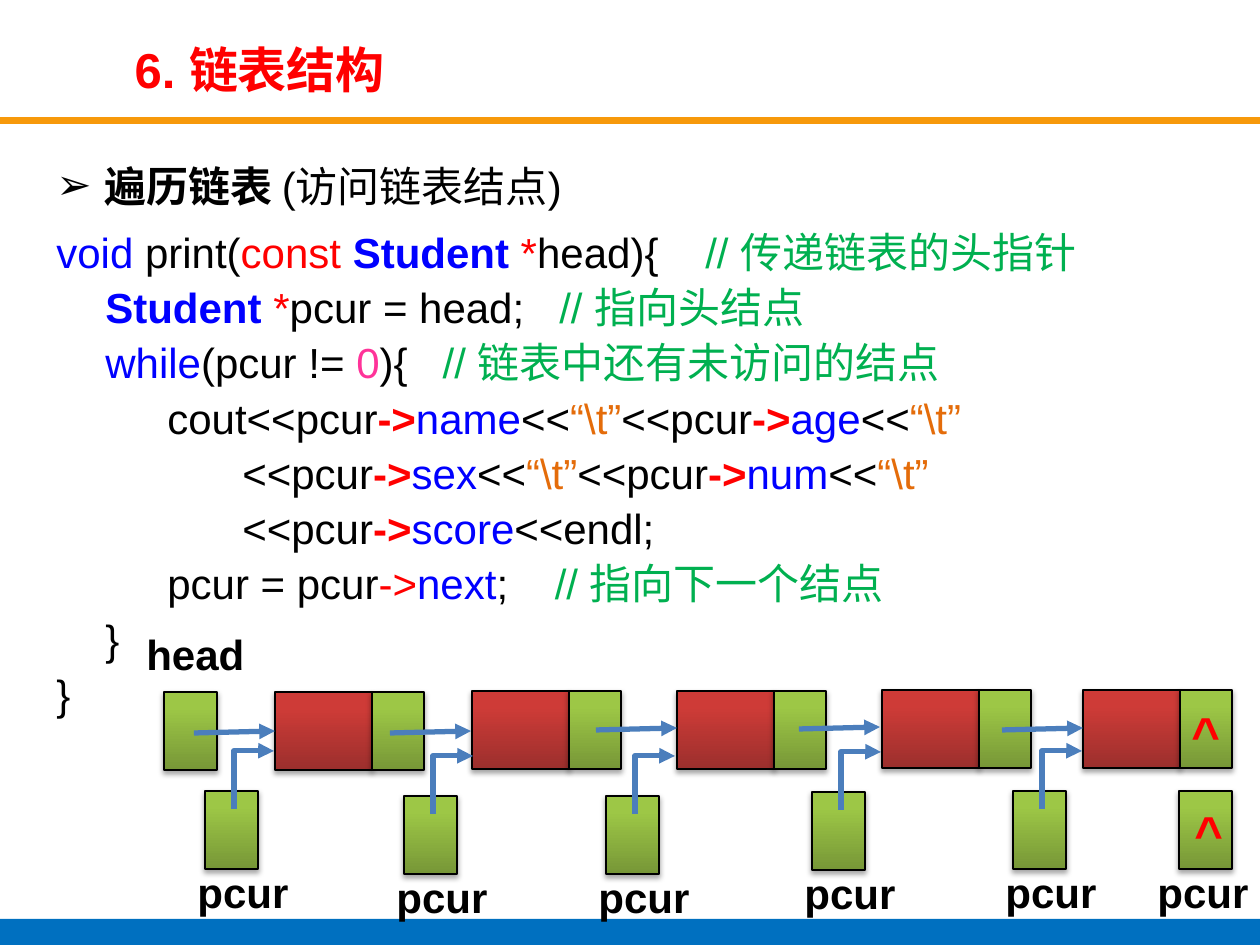
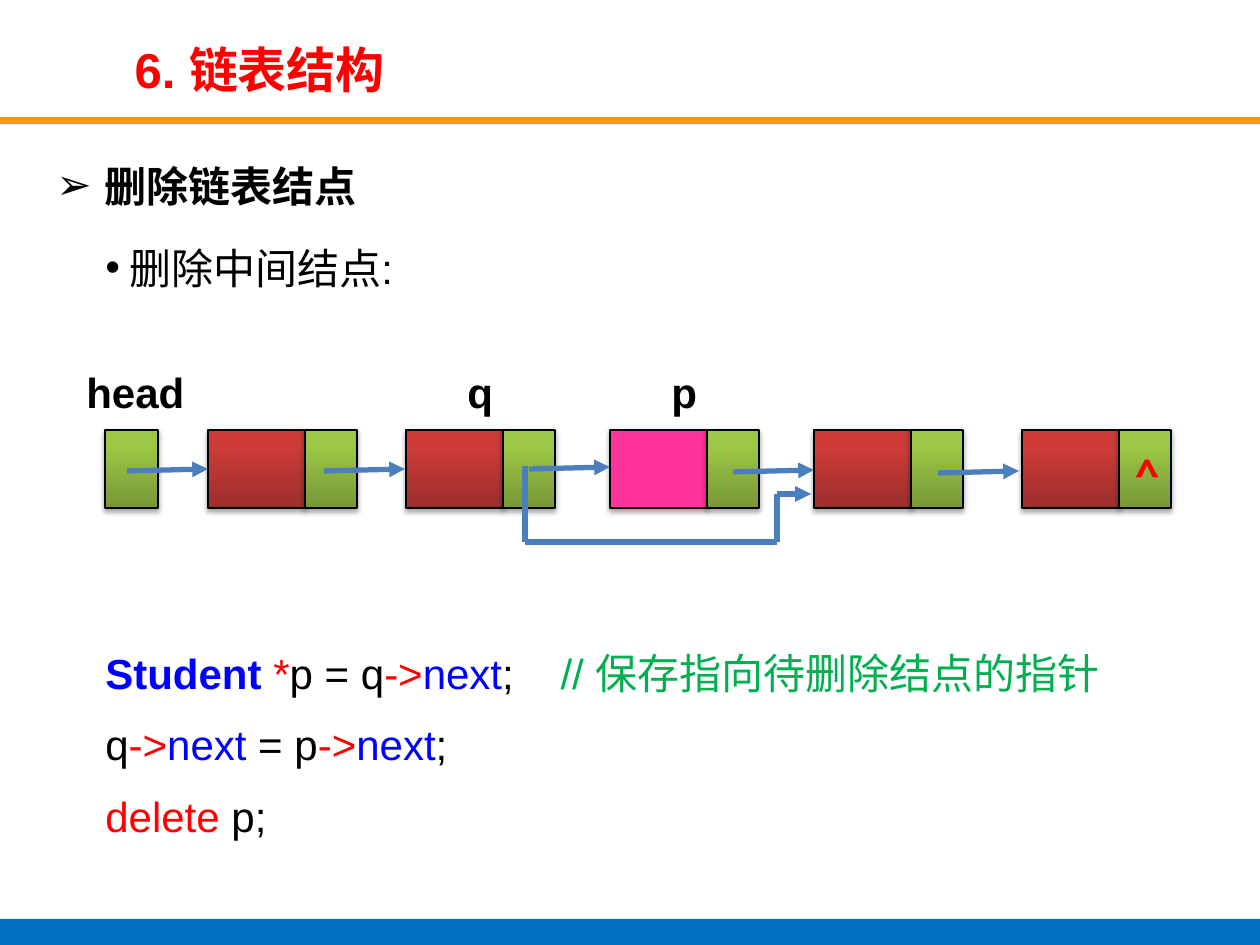
"""Builds two slides on traversing a linked list and deleting a node from it."""
import lxml.etree
import pptx
import pptx.dml.color
import pptx.enum.shapes
import pptx.enum.text
import pptx.oxml.ns
import pptx.util

SCALE = 914400 / 126
COLORS = {"black": "000000", "red": "FF0000", "blue": "0000FF", "green": "00B050",
          "orange": "E46C0A", "pink": "FF3399", "wire": "4B7EBC",
          "rule": "F7990A", "footer": "0070C0"}
GRADIENTS = {"data": ("9C2F2D", "CE3B37"), "link": ("779737", "9DC746")}
RGB = {k: pptx.dml.color.RGBColor.from_string(v) for k, v in COLORS.items()}
qn = pptx.oxml.ns.qn
Pt = pptx.util.Pt
PP_ALIGN = pptx.enum.text.PP_ALIGN
MSO_ANCHOR = pptx.enum.text.MSO_ANCHOR
MSO_AUTO_SIZE = pptx.enum.text.MSO_AUTO_SIZE
RECT = pptx.enum.shapes.MSO_SHAPE.RECTANGLE
MSO_CONNECTOR = pptx.enum.shapes.MSO_CONNECTOR
DATA_W, LINK_W, POINTER_W, CELL_H = 97, 52, 53, 78


def px(*values):
    """Turns pixels into EMU."""
    return [pptx.util.Emu(round(v * SCALE)) for v in values]


def write(p, text, color="black", bold=False, size=24, font="Arial"):
    """Adds one run to a paragraph."""
    r = p.add_run()
    r.text = text
    r.font.name, r.font.size, r.font.bold = font, Pt(size), bold
    r.font.color.rgb = RGB[color]


STUDENT = ("Student", "blue", True)
STAR = (" *", "red")
TO = ("->", "red", True)
TO_THIN = ("->", "red")
NEXT = ("next", "blue")
OUT = ("<<",)
OUT_PCUR = ("<<pcur",)
TAB = ("“\\t”", "orange")

# paragraph kinds: left margin, first-line indent, line spacing, before, after, bullet
KINDS = {
    "heading": (48, -48, 1.2, 5, 6, "➢"),
    "point": (73, -24, 1.2, 6.3, 0, "•"),
    "code0": (0, 0, Pt(28.8), 2.8, 0, None),
    "code1": (0, 49, Pt(28.8), 2.8, 0, None),
    "code2": (0, 111, Pt(28.8), 2.8, 0, None),
    "code3": (0, 186, Pt(28.8), 2.8, 0, None),
    "first step": (0, 49, 1.2, 197, 0, None),
    "step": (0, 49, 1.2, 6.3, 0, None),
}

pcur_cells = [(205, 791), (404, 796), (606, 796), (812, 792), (1013, 791), (1179, 791)]
slides = [
    {
        "body": [
            ("heading", [("遍历链表 ", "black", True), ("(访问链表结点)",)]),
            ("code0", [("void ", "blue"), ("print(",), ("const ", "red"), STUDENT, STAR,
                       ("head){    ",), ("// 传递链表的头指针", "green")]),
            ("code1", [STUDENT, STAR, ("pcur = head;   ",), ("// 指向头结点", "green")]),
            ("code1", [("while", "blue"), ("(pcur != ",), ("0", "pink"), ("){   ",),
                       ("// 链表中还有未访问的结点", "green")]),
            ("code2", [("cout<<pcur",), TO, ("name", "blue"), OUT, TAB,
                       OUT_PCUR, TO, ("age", "blue"), OUT, TAB]),
            ("code3", [OUT_PCUR, TO, ("sex", "blue"), OUT, TAB,
                       OUT_PCUR, TO, ("num", "blue"), OUT, TAB]),
            ("code3", [OUT_PCUR, TO, ("score", "blue"), ("<<endl;",)]),
            ("code2", [("pcur = pcur",), TO_THIN, NEXT, (";    ",),
                       ("// 指向下一个结点", "green")]),
            ("code1", [("}",)]),
            ("code0", [("}",)]),
        ],
        "pointers": [(164, 692)] + pcur_cells,
        "nodes": [(275, 692), (472, 691), (677, 691), (882, 690), (1083, 690)],
        "deleted": None,
        "arrows": [(194, 733), (390, 733), (596, 730), (799, 729), (1002, 730)],
        "elbows": pcur_cells[:-1],
        "bypass": [],
        "labels": [("head", 134, 622, 125)]
        + [("pcur", x - 20, y + 69, 117) for x, y in pcur_cells[:-1]]
        + [("pcur", 1145, 860, 117)],
        "ends": [(1179, 697, "Arial"), (1182, 796, "Arial")],
    },
    {
        "body": [
            ("heading", [("删除链表结点", "black", True)]),
            ("point", [("删除中间结点:",)]),
            ("first step", [STUDENT, STAR, ("p = q",), TO_THIN, NEXT, (";    ",),
                            ("// 保存指向待删除结点的指针", "green")]),
            ("step", [("q",), TO_THIN, NEXT, (" = p",), TO_THIN, NEXT, (";",)]),
            ("step", [("delete", "red"), (" p;",)]),
        ],
        "pointers": [(105, 430)],
        "nodes": [(208, 430), (406, 430), (610, 430), (814, 430), (1022, 430)],
        "deleted": 2,
        "arrows": [(127, 471), (324, 471), (529, 469), (733, 472), (938, 473)],
        "elbows": [],
        "bypass": [(525, 466), (525, 542), (777, 542), (777, 494), (811, 494)],
        "labels": [("head", 74, 360, 125), ("q", 455, 360, 52), ("p", 659, 360, 52)],
        "ends": [(1121, 438, "Calibri")],
    },
]

prs = pptx.Presentation()
prs.slide_width, prs.slide_height = px(1260, 945)

for content in slides:
    s = prs.slides.add_slide(prs.slide_layouts[5])

    for color, top, height in (("rule", 117, 7), ("footer", 919, 26)):
        sp = s.shapes.add_shape(RECT, *px(0, top, 1260, height))
        sp.shadow.inherit = False
        sp.fill.solid()
        sp.fill.fore_color.rgb = RGB[color]
        sp.line.fill.background()

    title = s.shapes.title
    title.left, title.top, title.width, title.height = px(122, 34, 864, 69)
    tf = title.text_frame
    tf.vertical_anchor = MSO_ANCHOR.MIDDLE
    tf.paragraphs[0].alignment = PP_ALIGN.LEFT
    write(tf.paragraphs[0], "6. 链表结构", "red", True, 28)

    tf = s.shapes.add_textbox(*px(44, 144, 1171, 755)).text_frame
    tf.word_wrap = True
    for i, (kind, runs) in enumerate(content["body"]):
        margin, indent, spacing, before, after, bullet = KINDS[kind]
        p = tf.add_paragraph() if i else tf.paragraphs[0]
        p.alignment = PP_ALIGN.JUSTIFY
        p.line_spacing = spacing
        p.space_before, p.space_after = Pt(before), Pt(after)
        pPr = p._p.get_or_add_pPr()
        for key, value in zip(("marL", "indent"), px(margin, indent)):
            pPr.set(key, str(value))
        if bullet:
            lxml.etree.SubElement(pPr, qn("a:buFont"), typeface="Arial")
            lxml.etree.SubElement(pPr, qn("a:buChar"), char=bullet)
        for run in runs:
            write(p, *run)

    cells = [(x, y, POINTER_W, "link") for x, y in content["pointers"]]
    for i, (x, y) in enumerate(content["nodes"]):
        cells.append((x, y, DATA_W, "pink" if i == content["deleted"] else "data"))
        cells.append((x + DATA_W, y, LINK_W, "link"))
    for x, y, width, fill in cells:
        sp = s.shapes.add_shape(RECT, *px(x, y, width, CELL_H))
        if fill in GRADIENTS:
            sp.fill.gradient()
            sp.fill.gradient_angle = 90
            for stop, color in zip(sp.fill.gradient_stops, GRADIENTS[fill]):
                stop.color.rgb = pptx.dml.color.RGBColor.from_string(color)
            sp.fill.gradient_stops[1].position = 0.8
        else:
            sp.fill.solid()
            sp.fill.fore_color.rgb = RGB[fill]
        sp.line.color.rgb = RGB["black"]
        sp.line.width = Pt(1.5)
        sp.shadow.inherit = False
        effects = sp._element.spPr.find(qn("a:effectLst"))
        shadow = lxml.etree.SubElement(effects, qn("a:outerShdw"), blurRad=str(Pt(3.1)),
                                       dist=str(Pt(1.8)), dir="5400000", rotWithShape="0")
        tint = lxml.etree.SubElement(shadow, qn("a:srgbClr"), val=COLORS["black"])
        lxml.etree.SubElement(tint, qn("a:alpha"), val="35000")

    wires = [("straight", x, y, x + 81, y - 2, True) for x, y in content["arrows"]]
    wires += [("elbow", x + 78, y + 9, x + 20, y - 31, True) for x, y in content["elbows"]]
    bypass = content["bypass"]
    wires += [("straight", *a, *b, b == bypass[-1]) for a, b in zip(bypass, bypass[1:])]
    for kind, x1, y1, x2, y2, arrowhead in wires:
        c = s.shapes.add_connector(getattr(MSO_CONNECTOR, kind.upper()), *px(x1, y1, x2, y2))
        c.line.color.rgb = RGB["wire"]
        c.line.width = Pt(3)
        spPr = c._element.spPr
        lxml.etree.SubElement(spPr, qn("a:effectLst"))
        if arrowhead:
            lxml.etree.SubElement(c.line._ln, qn("a:tailEnd"), type="triangle")
        if kind == "elbow":
            spPr.find(qn("a:xfrm")).set("rot", "5400000")
            guides = spPr.find(qn("a:prstGeom")).find(qn("a:avLst"))
            lxml.etree.SubElement(guides, qn("a:gd"), name="adj1", fmla="val 100500")

    labels = [(*label, 63, "black", 24, "Arial") for label in content["labels"]]
    labels += [("^", x, y, 52, 72, "red", 28, font) for x, y, font in content["ends"]]
    for text, x, y, width, height, color, size, font in labels:
        tf = s.shapes.add_textbox(*px(x, y, width, height)).text_frame
        tf.word_wrap = False
        tf.auto_size = MSO_AUTO_SIZE.SHAPE_TO_FIT_TEXT
        p = tf.paragraphs[0]
        p.alignment = PP_ALIGN.CENTER if text == "^" else PP_ALIGN.LEFT
        write(p, text, color, True, size, font)

prs.save("out.pptx")
